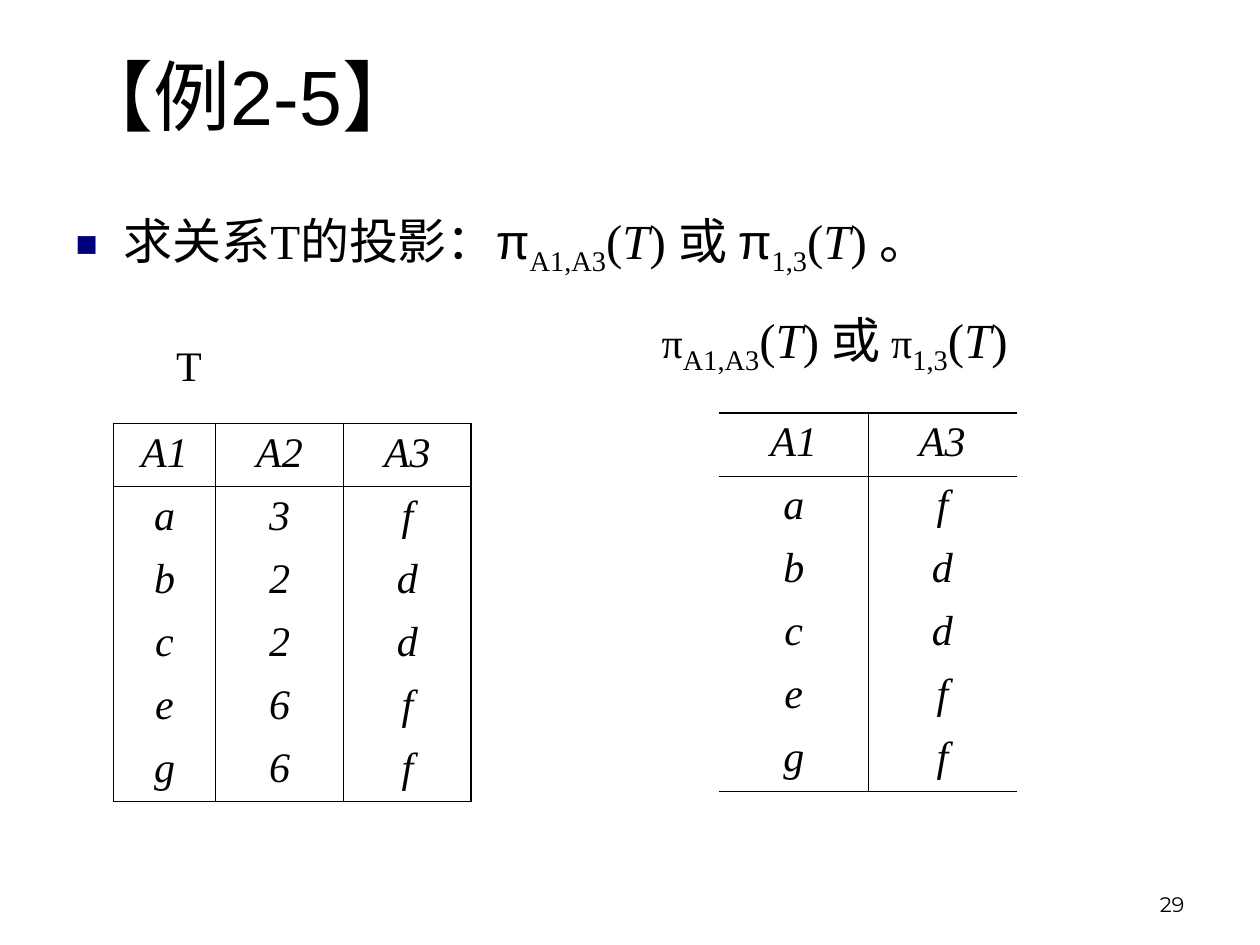
from dataclasses import dataclass

from lxml.etree import SubElement
from pptx import Presentation
from pptx.dml.color import RGBColor
from pptx.enum.text import MSO_ANCHOR, MSO_AUTO_SIZE, PP_ALIGN
from pptx.oxml.ns import qn
from pptx.util import Inches, Pt


@dataclass(frozen=True)
class Theme:
    ink: str = "000000"
    bullet: str = "00007D"
    sans: str = "Arial"
    serif: str = "Times New Roman"
    number_font: str = "Montserrat"
    title_size: int = 44
    body_size: int = 28
    table_size: int = 24
    number_size: int = 12
    outer_line: float = 1
    inner_line: float = 0.45


THEME = Theme()
SLIDE_WIDTH, SLIDE_HEIGHT = Inches(10), Inches(7.5)
RELATION = [
    ("A1", "A2", "A3"),
    ("a", "3", "f"),
    ("b", "2", "d"),
    ("c", "2", "d"),
    ("e", "6", "f"),
    ("g", "6", "f"),
]


def area(left, top, width, height):
    return (
        int(SLIDE_WIDTH * left / 100),
        int(SLIDE_HEIGHT * top / 100),
        int(SLIDE_WIDTH * width / 100),
        int(SLIDE_HEIGHT * height / 100),
    )


def add_text(paragraph, text, font=THEME.serif, size=THEME.body_size, italic=False, baseline=0):
    run = paragraph.add_run()
    run.text = text
    run.font.name = font
    run.font.size = Pt(size)
    run.font.italic = italic
    run.font.color.rgb = RGBColor.from_string(THEME.ink)
    if baseline:
        run.font._element.set("baseline", str(baseline * 1000))


def add_projection(paragraph, subscript, **symbol_format):
    add_text(paragraph, "π", **symbol_format)
    add_text(paragraph, subscript, baseline=-25)
    add_text(paragraph, "(")
    add_text(paragraph, "T", italic=True)


def add_projection_pair(paragraph, ending, **symbol_format):
    add_projection(paragraph, "A1,A3", **symbol_format)
    add_text(paragraph, ") 或 ")
    add_projection(paragraph, "1,3", **symbol_format)
    add_text(paragraph, ending)


def fill_placeholder(placeholder, bounds, anchor):
    placeholder.left, placeholder.top, placeholder.width, placeholder.height = bounds
    frame = placeholder.text_frame
    frame.auto_size = MSO_AUTO_SIZE.NONE
    frame.vertical_anchor = anchor
    paragraph = frame.paragraphs[0]
    paragraph.alignment = PP_ALIGN.LEFT
    paragraph.space_before = Pt(0)
    return paragraph


def set_bullet(paragraph, character, indent):
    properties = paragraph._p.get_or_add_pPr()
    properties.set("marL", str(indent))
    properties.set("indent", str(-indent))
    color = SubElement(properties, qn("a:buClr"))
    SubElement(color, qn("a:srgbClr"), val=THEME.bullet)
    SubElement(properties, qn("a:buSzPct"), val="75000")
    SubElement(properties, qn("a:buFont"), typeface=THEME.sans)
    SubElement(properties, qn("a:buChar"), char=character)


def add_label(slide, bounds, alignment=PP_ALIGN.CENTER, anchor=MSO_ANCHOR.TOP, fit=True):
    frame = slide.shapes.add_textbox(*bounds).text_frame
    frame.word_wrap = not fit
    frame.auto_size = MSO_AUTO_SIZE.SHAPE_TO_FIT_TEXT if fit else MSO_AUTO_SIZE.NONE
    frame.vertical_anchor = anchor
    paragraph = frame.paragraphs[0]
    paragraph.alignment = alignment
    return paragraph


def set_borders(cell, widths):
    properties = cell._tc.get_or_add_tcPr()
    for position, (side, width) in enumerate(zip("LRTB", widths)):
        line = SubElement(properties, qn(f"a:ln{side}"), w=str(int(Pt(width))))
        if width:
            fill = SubElement(line, qn("a:solidFill"))
            SubElement(fill, qn("a:srgbClr"), val=THEME.ink)
        else:
            SubElement(line, qn("a:noFill"))
        properties.insert(position, line)


def add_relation(slide, rows, bounds, column_shares, side_line):
    row_count, column_count = len(rows), len(rows[0])
    table = slide.shapes.add_table(row_count, column_count, *bounds).table
    table.first_row = table.horz_banding = False
    for column, share in zip(table.columns, column_shares):
        column.width = int(bounds[2] * share / sum(column_shares))
    for row_index, values in enumerate(rows):
        table.rows[row_index].height = bounds[3] // row_count
        for column_index, value in enumerate(values):
            cell = table.cell(row_index, column_index)
            cell.fill.background()
            paragraph = cell.text_frame.paragraphs[0]
            paragraph.alignment = PP_ALIGN.CENTER
            add_text(paragraph, value, size=THEME.table_size, italic=True)
            left = THEME.inner_line if column_index else side_line
            right = THEME.inner_line if column_index < column_count - 1 else side_line
            top = (THEME.outer_line, THEME.inner_line)[row_index] if row_index < 2 else 0
            bottom = {0: THEME.inner_line, row_count - 1: THEME.outer_line}.get(row_index, 0)
            set_borders(cell, (left, right, top, bottom))


def main():
    presentation = Presentation()
    presentation.slide_width, presentation.slide_height = SLIDE_WIDTH, SLIDE_HEIGHT
    slide = presentation.slides.add_slide(presentation.slide_layouts[1])

    number = add_label(slide, area(71.7, 91, 23.3, 6.7), PP_ALIGN.RIGHT, MSO_ANCHOR.BOTTOM, False)
    add_text(number, "29", font=THEME.number_font, size=THEME.number_size)

    title = fill_placeholder(slide.shapes.title, area(5.1, 0, 90, 20), MSO_ANCHOR.MIDDLE)
    add_text(title, "【例2-5】", font=THEME.sans, size=THEME.title_size)

    body = fill_placeholder(slide.placeholders[1], area(5, 21.6, 86.7, 63.9), MSO_ANCHOR.TOP)
    set_bullet(body, "■", Inches(0.38))
    add_text(body, "求关系T的投影：")
    add_projection_pair(body, ") ", font=THEME.sans)
    add_text(body, "。", font=THEME.sans)

    add_relation(slide, RELATION, area(9, 44.8, 28.4, 40), (4, 5, 5), THEME.outer_line)
    relation_name = add_label(slide, area(13, 35.3, 4, 6.7))
    add_text(relation_name, "T", size=THEME.table_size)

    projection = [(first, third) for first, _, third in RELATION]
    add_relation(slide, projection, area(57.1, 43.7, 23.6, 40), (1, 1), 0)
    projection_name = add_label(slide, area(50.6, 32.1, 31.3, 8.4))
    add_projection_pair(projection_name, ")", size=THEME.table_size)

    presentation.save("out.pptx")


if __name__ == "__main__":
    main()
